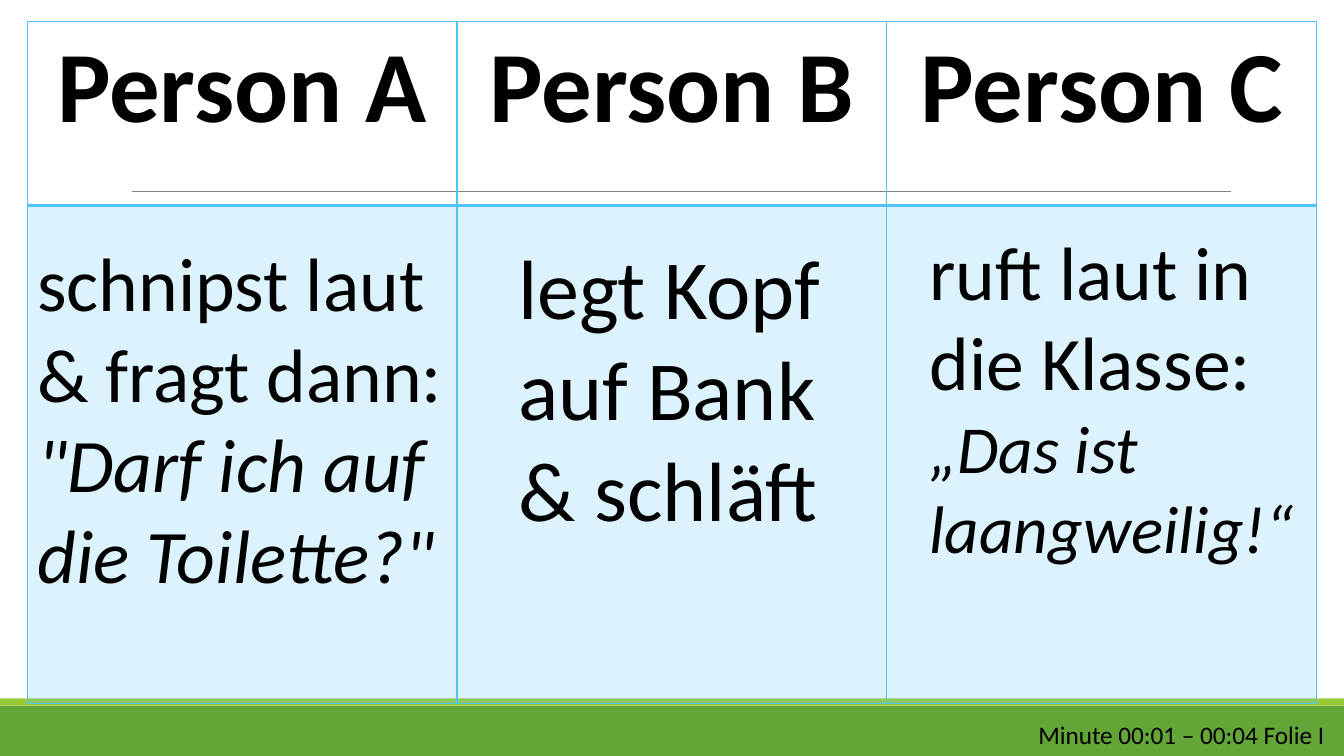
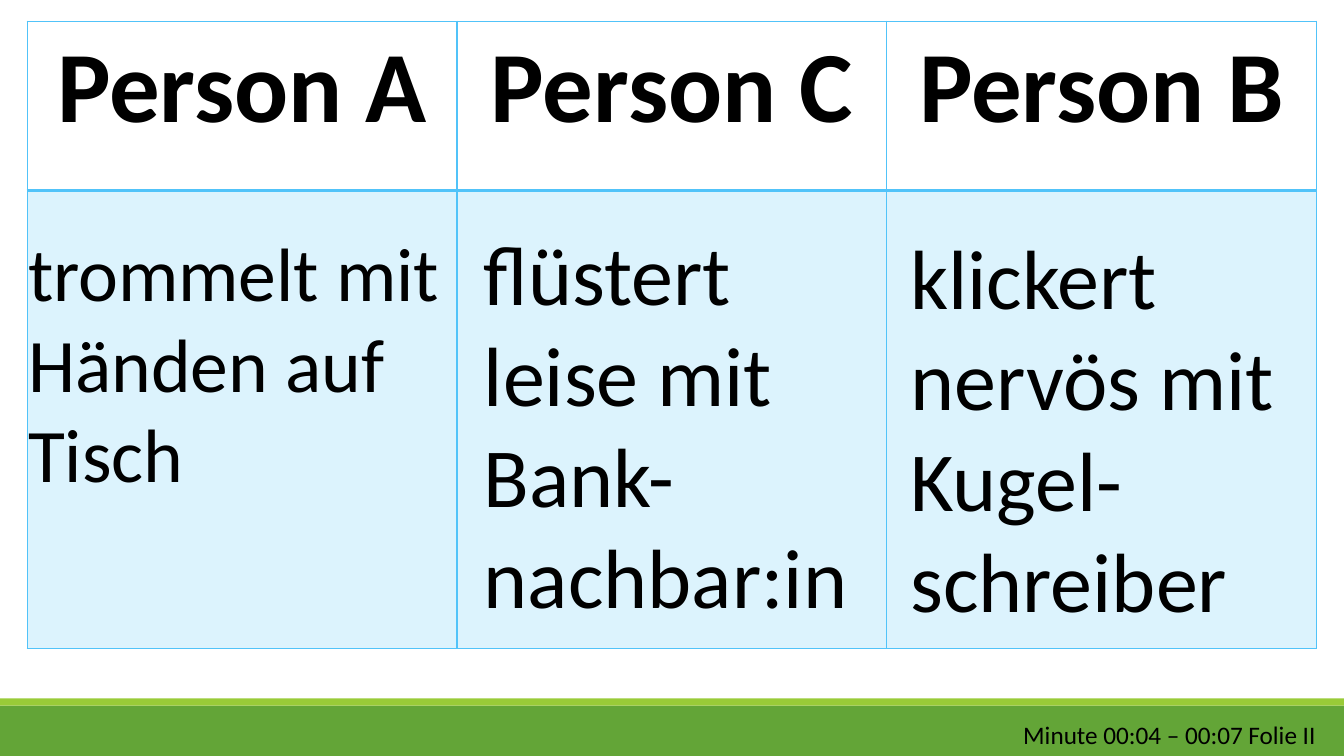
from lxml import etree
from pptx import Presentation
from pptx.dml.color import RGBColor
from pptx.enum.shapes import MSO_CONNECTOR, MSO_SHAPE
from pptx.enum.text import MSO_AUTO_SIZE, PP_ALIGN
from pptx.oxml.ns import qn
from pptx.util import Inches, Pt

GREEN = RGBColor(0x63, 0xA5, 0x37)
LIME = RGBColor(0x99, 0xCB, 0x38)
GRAY = RGBColor(0x80, 0x80, 0x80)
BLUE = RGBColor(0x51, 0xC3, 0xF9)
BLACK = RGBColor(0, 0, 0)
RECT, LINE = MSO_SHAPE.RECTANGLE, MSO_CONNECTOR.STRAIGHT
CENTER, GROW = PP_ALIGN.CENTER, MSO_AUTO_SIZE.SHAPE_TO_FIT_TEXT
FONT = "Calibri"
WIDE, HIGH = 13.33, 7.5
EDGE, TOP = 0.27, 0.21
GRID = WIDE - 2 * EDGE
FOOT_Y, FOOT_H = 7.09, 0.4
FOOT_END = 13.27

# Each note: left, top, width, height, then paragraphs as (text, size, italic)
SLIDES = [
    {
        "heads": ["Person A", "Person B", "Person C"],
        "rows": [1.83, 4.94],
        "notes": [
            (0.27, 2.29, 4.32, 3.74, [("schnipst laut & fragt dann:", 54, False),
                                      ('"Darf ich auf die Toilette?"', 54, True)]),
            (5.04, 2.29, 4.32, 3.13, [("legt Kopf auf Bank", 60, False),
                                      ("& schläft", 60, False)]),
            (9.12, 2.18, 4.02, 3.53, [("ruft laut in die Klasse:", 54, False),
                                      ("„Das ist laangweilig!“", 48, True)]),
        ],
        "foot": ("Minute 00:01 – 00:04 Folie I", 3.07),
    },
    {
        "heads": ["Person A", "Person C", "Person B"],
        "rows": [1.68, 4.54],
        "notes": [
            (0.18, 2.19, 4.44, 2.83, [("trommelt mit Händen auf Tisch", 54, False)]),
            (4.7, 2.15, 3.93, 4.14, [("flüstert leise mit Bank-nachbar:in", 60, False)]),
            (8.93, 2.19, 4.23, 4.14, [("klickert nervös mit Kugel-schreiber", 60, False)]),
        ],
        "foot": ("Minute 00:04 – 00:07 Folie II", 3.22),
    },
]


def write(para, text, size=18, bold=False, italic=False, align=None):
    para.alignment = align
    run = para.add_run()
    run.text = text
    font = run.font
    font.name, font.size = FONT, Pt(size)
    font.bold, font.italic = bold, italic
    font.color.rgb = BLACK


def add_note(slide, left, top, width, height, paras):
    box = slide.shapes.add_textbox(*map(Inches, (left, top, width, height)))
    frame = box.text_frame
    frame.word_wrap, frame.auto_size = True, GROW
    for i, (text, size, italic) in enumerate(paras):
        para = frame.add_paragraph() if i else frame.paragraphs[0]
        write(para, text, size=size, italic=italic)


def add_frame(slide):
    """Draw the green bands and the thin rule that every slide has."""
    for top, height, color in ((7, 0.5, GREEN), (6.93, 0.07, LIME)):
        band = slide.shapes.add_shape(RECT, 0, Inches(top), Inches(WIDE), Inches(height))
        band.shadow.inherit = False
        band.fill.solid()
        band.fill.fore_color.rgb = color
        band.line.fill.background()
    rule = slide.shapes.add_connector(LINE, *map(Inches, (1.31, 1.9, 12.21, 1.9)))
    rule.line.color.rgb, rule.line.width = GRAY, Pt(0.5)
    etree.SubElement(rule._element.spPr, qn("a:effectLst"))


def add_border(cell, **widths):
    props = cell._tc.get_or_add_tcPr()
    for side in "LRTB":
        line = etree.SubElement(props, qn("a:ln" + side), w=str(Pt(widths.get(side, 1))))
        fill = etree.SubElement(line, qn("a:solidFill"))
        etree.SubElement(fill, qn("a:srgbClr"), val=str(BLUE))


def tint(cell, share):
    cell.fill.solid()
    cell.fill.fore_color.rgb = BLUE
    color = cell._tc.tcPr.find(qn("a:solidFill")).find(qn("a:srgbClr"))
    etree.SubElement(color, qn("a:alpha"), val=str(share * 1000))


def add_grid(slide, heads, rows):
    area = map(Inches, (EDGE, TOP, GRID, sum(rows)))
    table = slide.shapes.add_table(len(rows), len(heads), *area).table
    table.first_row = table.horz_banding = False
    for row, height in zip(table.rows, rows):
        row.height = Inches(height)
    for i, text in enumerate(heads):
        table.columns[i].width = Inches(GRID / len(heads))
        head, body = table.cell(0, i), table.cell(1, i)
        write(head.text_frame.paragraphs[0], text, size=72, bold=True, align=CENTER)
        add_border(head, B=2)
        head.fill.background()
        add_border(body, T=2)
        tint(body, 20)


def main():
    deck = Presentation()
    deck.slide_width, deck.slide_height = Inches(WIDE), Inches(HIGH)
    for data in SLIDES:
        slide = deck.slides.add_slide(deck.slide_layouts[6])
        add_frame(slide)
        add_grid(slide, data["heads"], data["rows"])
        for note in data["notes"]:
            add_note(slide, *note)
        text, width = data["foot"]
        add_note(slide, FOOT_END - width, FOOT_Y, width, FOOT_H, [(text, 18, False)])
    deck.save("out.pptx")


if __name__ == "__main__":
    main()
